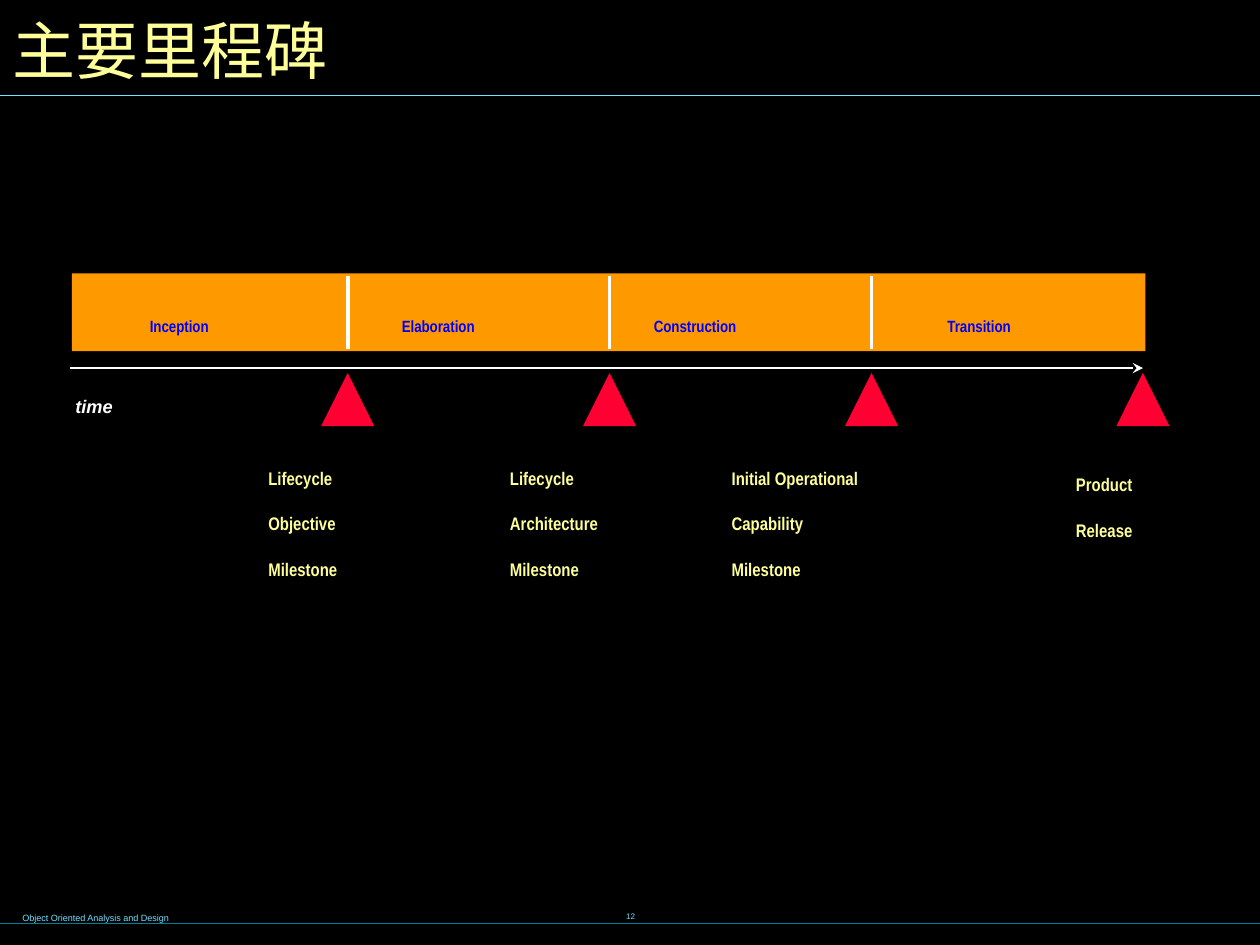
from dataclasses import dataclass

from lxml import etree
from pptx import Presentation
from pptx.dml.color import RGBColor
from pptx.enum.shapes import MSO_CONNECTOR, MSO_SHAPE
from pptx.enum.text import MSO_ANCHOR, PP_ALIGN
from pptx.oxml.ns import qn
from pptx.util import Cm, Pt

STRAIGHT = MSO_CONNECTOR.STRAIGHT
RECTANGLE = MSO_SHAPE.RECTANGLE
TRIANGLE = MSO_SHAPE.ISOSCELES_TRIANGLE
TOP, MIDDLE = MSO_ANCHOR.TOP, MSO_ANCHOR.MIDDLE
LEFT, CENTER = PP_ALIGN.LEFT, PP_ALIGN.CENTER


@dataclass(frozen=True)
class Theme:
    background: str = "000000"
    heading: str = "FFFF99"
    rule: str = "73E1FF"
    footer_rule: str = "007E9F"
    bar: str = "FF9900"
    phase: str = "0000FF"
    marker: str = "FF0033"
    white: str = "FFFFFF"
    sans: str = "Arial"
    narrow: str = "Arial Narrow"
    title_size: float = 36
    label_size: float = 18
    phase_size: float = 16
    footer_size: float = 9
    number_size: float = 8
    subscript: int = -33000


THEME = Theme()
SLIDE_WIDTH, SLIDE_HEIGHT = 25.4, 19.05
PHASE_STEP = 5.28
FIRST_PHASE_WIDTH = 5.56
PHASES = [
    ("Inception", 1.32, 3.02),
    ("Elaboration", 6.4, 3.61),
    ("Construction", 11.48, 4.01),
    ("Transition", 17.4, 3.25),
]
MILESTONES = [
    (["Lifecycle", "Objective", "Milestone"], 3.71, 1.29, 3.1),
    (["Lifecycle", "Architecture", "Milestone"], 8.58, 1.29, 3.76),
    (["Initial Operational", "Capability", "Milestone"], 13.05, 1.29, 5.11),
    (["Product", "Release"], 19.99, 1.42, 2.64),
]


def add_text(slide, lines, box, *, size, color, font=THEME.narrow, bold=False,
             italic=False, align=LEFT, anchor=TOP, baseline=THEME.subscript):
    shape = slide.shapes.add_textbox(*map(Cm, box))
    frame = shape.text_frame
    frame.word_wrap = True
    frame.vertical_anchor = anchor
    for index, line in enumerate(lines):
        paragraph = frame.paragraphs[0] if index == 0 else frame.add_paragraph()
        paragraph.alignment = align
        run = paragraph.add_run()
        run.text = line
        run.font.name = font
        run.font.size = Pt(size)
        run.font.bold = bold
        run.font.italic = italic
        run.font.color.rgb = RGBColor.from_string(color)
        if baseline:
            run.font._element.set("baseline", str(baseline))


def add_filled(slide, kind, box, color):
    shape = slide.shapes.add_shape(kind, *map(Cm, box))
    shape.shadow.inherit = False
    shape.fill.solid()
    shape.fill.fore_color.rgb = RGBColor.from_string(color)
    shape.line.fill.background()


def add_line(slide, start, end, color, width, arrow=False):
    connector = slide.shapes.add_connector(STRAIGHT, *map(Cm, (*start, *end)))
    connector.line.color.rgb = RGBColor.from_string(color)
    connector.line.width = Pt(width)
    if arrow:
        etree.SubElement(connector.line._get_or_add_ln(), qn("a:tailEnd"), type="stealth")
    etree.SubElement(connector._element.spPr, qn("a:effectLst"))


def add_header(slide, box):
    left, top, width, height = box
    add_text(slide, ["主要里程碑"], box, size=THEME.title_size, color=THEME.heading,
             anchor=MIDDLE, baseline=0)
    rule_y = top + height - 0.05
    add_line(slide, (left, rule_y), (left + SLIDE_WIDTH, rule_y), THEME.rule, 0.75)


def add_footer(slide, box):
    left, top, width, height = box
    add_text(slide, ["Object Oriented Analysis and Design"],
             (left + 0.2, top + 0.3, 12.95, 0.64),
             size=THEME.footer_size, color=THEME.rule, font=THEME.sans)
    add_text(slide, ["12"], (left + 8.69, top, 8.05, height),
             size=THEME.number_size, color=THEME.rule, font=THEME.sans,
             align=CENTER, anchor=MIDDLE)
    rule_y = top + 0.89
    add_line(slide, (left, rule_y), (left + width, rule_y), THEME.footer_rule, 0.75)


def add_phases(slide, box):
    left, top, width, height = box
    add_filled(slide, RECTANGLE, box, THEME.bar)
    for index in range(len(PHASES) - 1):
        x = left + FIRST_PHASE_WIDTH + index * PHASE_STEP
        add_line(slide, (x, top + height - 0.05), (x, top + 0.05), THEME.white, 2)
    for name, offset, label_width in PHASES:
        add_text(slide, [name], (left + offset, top + 0.31, label_width, 0.94),
                 size=THEME.phase_size, color=THEME.phase, bold=True)


def add_time_axis(slide, box):
    left, top, width, height = box
    add_line(slide, (left, top), (left + width, top), THEME.white, 1, arrow=True)
    add_text(slide, ["time"], (left - 0.15, top - 0.05, 1.83, height),
             size=THEME.label_size, color=THEME.white, font=THEME.sans,
             bold=True, italic=True)


def add_milestones(slide, box):
    left, top, width, height = box
    side = 1.07
    centers = [FIRST_PHASE_WIDTH + index * PHASE_STEP for index in range(3)] + [width]
    for center, (lines, offset, drop, label_width) in zip(centers, MILESTONES):
        add_filled(slide, TRIANGLE, (left + center - side / 2, top, side, side), THEME.marker)
        add_text(slide, lines, (left + offset, top + drop, label_width, height - drop),
                 size=THEME.label_size, color=THEME.heading, bold=True)


def main():
    presentation = Presentation()
    presentation.slide_width = Cm(SLIDE_WIDTH)
    presentation.slide_height = Cm(SLIDE_HEIGHT)
    slide = presentation.slides.add_slide(presentation.slide_layouts[6])
    slide.background.fill.solid()
    slide.background.fill.fore_color.rgb = RGBColor.from_string(THEME.background)
    add_footer(slide, (0, 17.73, SLIDE_WIDTH, 1.27))
    add_phases(slide, (1.45, 5.51, 21.64, 1.57))
    add_header(slide, (0, 0, 25.22, 1.98))
    add_milestones(slide, (1.45, 7.52, 21.59, 4.62))
    add_time_axis(slide, (1.42, 7.42, 21.62, 1.02))
    presentation.save("out.pptx")


if __name__ == "__main__":
    main()
